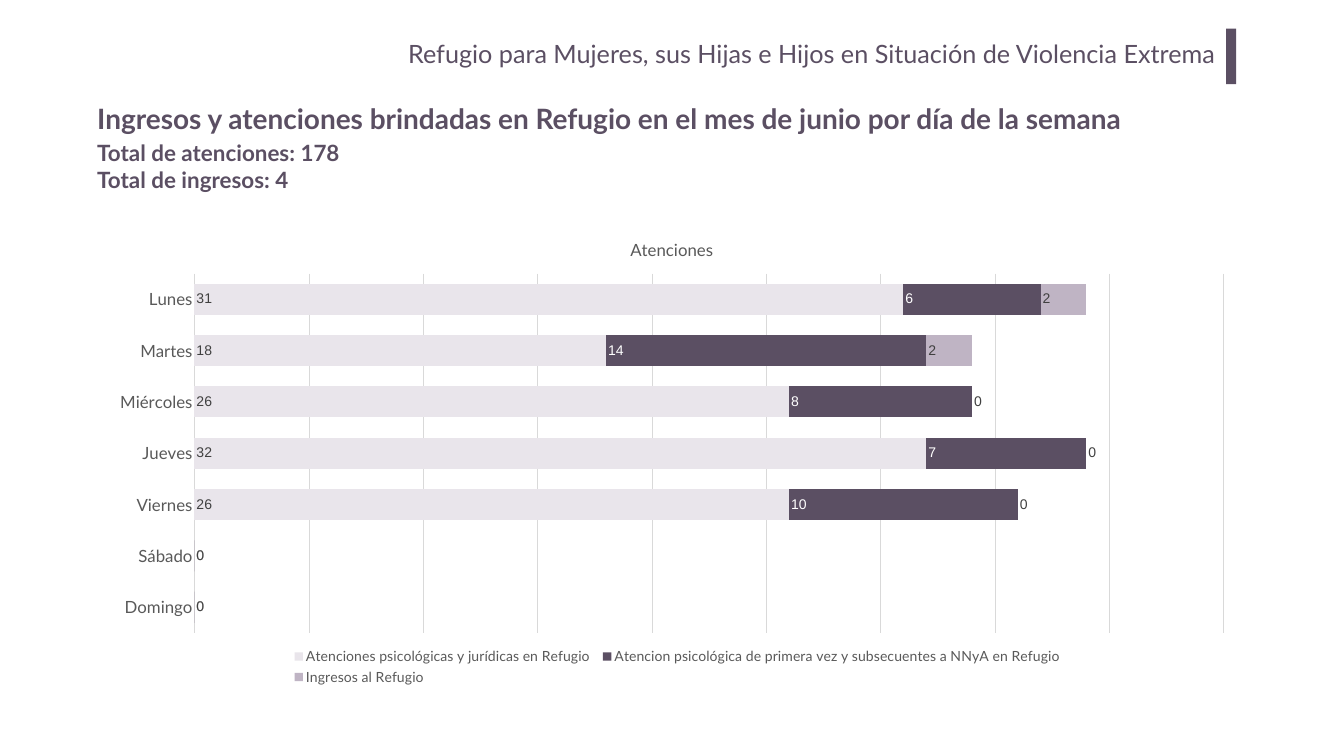
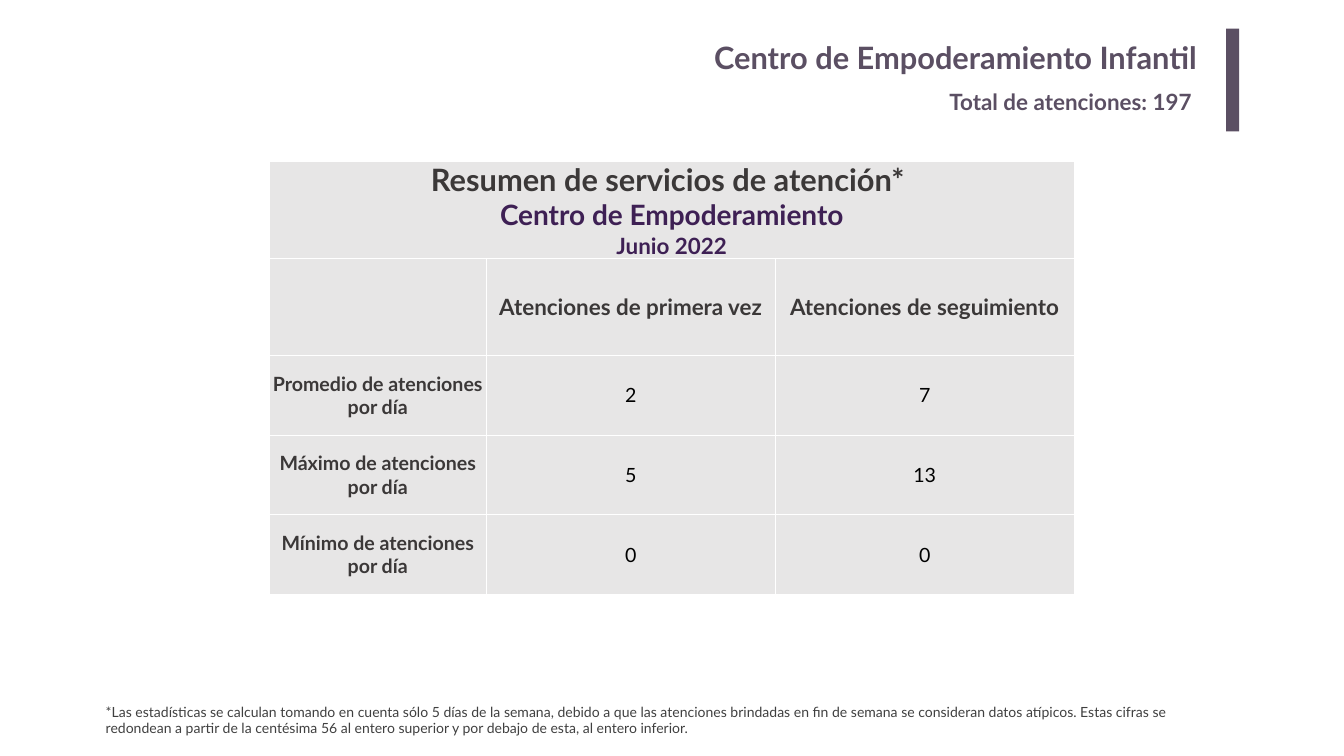
from dataclasses import dataclass

from lxml import etree
from pptx import Presentation
from pptx.chart.data import CategoryChartData
from pptx.dml.color import RGBColor
from pptx.enum import chart as ch, shapes, text
from pptx.oxml import ns
from pptx.util import Pt

HUES = {
    "plum": "5B4F63", "lilac": "BFB4C4", "mist": "E9E5EB", "violet": "3E2054",
    "dark": "3B3838", "ink": "404040", "gray": "595959", "rule": "D9D9D9",
    "cell": "E7E6E6", "white": "FFFFFF", "black": "000000",
}
FONT = "Lato"
AL = text.PP_ALIGN
MID = text.MSO_ANCHOR.MIDDLE
TOP = text.MSO_ANCHOR.TOP
GROW = text.MSO_AUTO_SIZE.SHAPE_TO_FIT_TEXT


@dataclass
class Box:
    x: float
    y: float
    w: float
    h: float

    def pts(self) -> tuple:
        return Pt(self.x), Pt(self.y), Pt(self.w), Pt(self.h)


@dataclass
class Line:
    words: str
    size: float = 32
    hue: str = "plum"
    bold: bool = True


@dataclass
class Bars:
    name: str
    vals: tuple
    hue: str
    label: str


def rgb(hue: str) -> RGBColor:
    return RGBColor.from_string(HUES[hue])


def style(font, size: float, hue: str, bold: bool = False, face: str = FONT) -> None:
    font.name, font.size, font.bold = face, Pt(size), bold
    font.color.rgb = rgb(hue)


def put(frame, *lines: Line, align=AL.LEFT, anchor=TOP, pad=(7.2, 3.6),
        fit=text.MSO_AUTO_SIZE.NONE, lead=None, before=None) -> None:
    """Fill a text frame, one paragraph per line."""
    frame.word_wrap, frame.auto_size, frame.vertical_anchor = True, fit, anchor
    frame.margin_left = frame.margin_right = Pt(pad[0])
    frame.margin_top = frame.margin_bottom = Pt(pad[1])
    for n, line in enumerate(lines):
        par = frame.add_paragraph() if n else frame.paragraphs[0]
        par.alignment = align
        if lead:
            par.line_spacing = lead
        if before is not None:
            par.space_before = Pt(before)
        run = par.add_run()
        run.text = line.words
        style(run.font, line.size, line.hue, line.bold)


def note(slide, box: Box, *lines: Line, **fmt) -> None:
    put(slide.shapes.add_textbox(*box.pts()).text_frame, *lines, **fmt)


def start(deck, title: Line, left: float, bar: Box):
    """Add a slide with its right-aligned title and side bar."""
    slide = deck.slides.add_slide(deck.slide_layouts[5])
    head = slide.shapes.title
    head.left, head.top, head.width, head.height = Box(left, 48.2, 1461.6, 73.4).pts()
    put(head.text_frame, title, align=AL.RIGHT, pad=(14.4, 7.2), before=0)
    mark = slide.shapes.add_shape(shapes.MSO_SHAPE.RECTANGLE, *bar.pts())
    mark.shadow.inherit = False
    mark.fill.solid()
    mark.fill.fore_color.rgb = rgb("plum")
    mark.line.fill.background()
    return slide


def place(chart, tag: str, spot: int, **dims: float) -> None:
    """Fix the layout of a chart part as fractions of the chart."""
    part = chart.element.xpath(f".//c:{tag}")[0]
    for old in part.findall(ns.qn("c:layout")):
        part.remove(old)
    outer = etree.Element(ns.qn("c:layout"))
    inner = etree.SubElement(outer, ns.qn("c:manualLayout"))
    vals = {"xMode": "edge", "yMode": "edge", **dims}
    if tag == "plotArea":
        vals = {"layoutTarget": "inner", **vals}
    for key, val in vals.items():
        etree.SubElement(inner, ns.qn(f"c:{key}")).set("val", str(val))
    part.insert(spot, outer)


def plot(slide, box: Box, title: str, days: list, sets: list) -> None:
    data = CategoryChartData()
    data.categories = days
    for item in sets:
        data.add_series(item.name, item.vals)
    chart = slide.shapes.add_chart(
        ch.XL_CHART_TYPE.BAR_STACKED, *box.pts(), data).chart
    style(chart.font, 10, "black", face="Arial")
    chart.has_title = True
    chart.chart_title.text_frame.text = title
    head = chart.chart_title.text_frame.paragraphs[0].runs[0]
    style(head.font, 24, "gray")

    axis = chart.category_axis
    axis.major_tick_mark = ch.XL_TICK_MARK.NONE
    style(axis.tick_labels.font, 24, "gray")
    axis.format.line.color.rgb = rgb("rule")
    axis.format.line.width = Pt(0.75)
    scale = chart.value_axis
    scale.minimum_scale, scale.maximum_scale, scale.major_unit = 0, 45, 5
    scale.has_major_gridlines = True
    grid = scale.major_gridlines.format.line
    grid.color.rgb, grid.width = rgb("rule"), Pt(0.75)
    scale.visible = False

    chart.has_legend = True
    chart.legend.position = ch.XL_LEGEND_POSITION.BOTTOM
    chart.legend.include_in_layout = False
    style(chart.legend.font, 20, "gray")
    place(chart, "plotArea", 0, x=0.085, y=0.11, w=0.895, h=0.77)
    place(chart, "legend", 1, x=0.165, y=0.905, w=0.68, h=0.095)

    bars = chart.plots[0]
    bars.gap_width, bars.overlap, bars.vary_by_categories = 65, 100, False
    for row, item in zip(bars.series, sets):
        row.format.fill.solid()
        row.format.fill.fore_color.rgb = rgb(item.hue)
        tags = row.data_labels
        tags.show_value = True
        tags.position = ch.XL_LABEL_POSITION.INSIDE_BASE
        style(tags.font, 20, item.label, face="Arial")


def edge(cell, hue: str, width: float) -> None:
    """Draw all four borders of a cell."""
    props = cell._tc.get_or_add_tcPr()
    for side in ("lnL", "lnR", "lnT", "lnB"):
        line = etree.SubElement(props, ns.qn(f"a:{side}"), w=str(Pt(width)))
        fill = etree.SubElement(line, ns.qn("a:solidFill"))
        etree.SubElement(fill, ns.qn("a:srgbClr"), val=HUES[hue])


def grid(slide, x: float, y: float, cols: list, rows: list, cells: list) -> None:
    """Add a table whose first row spans every column."""
    box = Box(x, y, sum(cols), sum(rows))
    table = slide.shapes.add_table(len(rows), len(cols), *box.pts()).table
    table.first_row = table.horz_banding = False
    for col, width in zip(table.columns, cols):
        col.width = Pt(width)
    for row, height in zip(table.rows, rows):
        row.height = Pt(height)
    for cell in table.iter_cells():
        edge(cell, "white", 1)
        cell.fill.solid()
        cell.fill.fore_color.rgb = rgb("cell")
    table.cell(0, 0).merge(table.cell(0, len(cols) - 1))
    for r, row in enumerate(cells):
        for c, lines in enumerate(row):
            if not lines:
                continue
            cell = table.cell(r, c)
            cell.vertical_anchor = MID
            cell.margin_left = cell.margin_right = 0
            cell.margin_top = cell.margin_bottom = 0
            fill_cell(cell, lines)


def fill_cell(cell, lines: list) -> None:
    for n, line in enumerate(lines):
        frame = cell.text_frame
        par = frame.add_paragraph() if n else frame.paragraphs[0]
        par.alignment = AL.CENTER
        run = par.add_run()
        run.text = line.words
        style(run.font, line.size, line.hue, line.bold)


def shelter(deck) -> None:
    slide = start(
        deck,
        Line("Refugio para Mujeres, sus Hijas e Hijos en Situación de Violencia Extrema",
             36, bold=False),
        288.7, Box(1751.8, 41, 14.4, 79.2))
    note(slide, Box(131.8, 119.5, 1573.2, 104.4),
         Line("Ingresos y atenciones brindadas en Refugio en el mes de junio "
              "por día de la semana ", 40),
         align=AL.JUSTIFY, anchor=MID, lead=0.9)
    note(slide, Box(131.8, 195.8, 406, 85), Line("Total de atenciones: 178"),
         Line("Total de ingresos: 4"), fit=GROW)
    days = ["Domingo", "Sábado", "Viernes", "Jueves", "Miércoles", "Martes", "Lunes"]
    plot(slide, Box(138.2, 317.5, 1643, 666.7), "Atenciones", days, [
        Bars("Atenciones psicológicas y jurídicas en Refugio",
             (0, 0, 26, 32, 26, 18, 31), "mist", "ink"),
        Bars("Atencion psicológica de primera vez y subsecuentes a NNyA en Refugio",
             (0, 0, 10, 7, 8, 14, 6), "plum", "white"),
        Bars("Ingresos al Refugio", (0, 0, 0, 0, 0, 2, 2), "lilac", "ink"),
    ])


def center(deck) -> None:
    slide = start(deck, Line("Centro de Empoderamiento Infantil", 44),
                  263.5, Box(1751.8, 41, 18.7, 146.9))
    note(slide, Box(1349.3, 121.7, 380.2, 46.1),
         Line("Total de atenciones: 197"), fit=GROW)
    heads = ("Atenciones de primera vez", "Atenciones de seguimiento")
    stats = {"Promedio": (2, 7), "Máximo": (5, 13), "Mínimo": (0, 0)}
    cells = [
        [[Line("Resumen de servicios de atención* ", 44, "dark"),
          Line("Centro de Empoderamiento", 40, "violet"),
          Line("Junio 2022", 32, "violet")]],
        [None] + [[Line(head, 32, "dark")] for head in heads],
    ]
    for name, vals in stats.items():
        cells.append([[Line(f"{name} de atenciones por día", 28, "dark")]]
                     + [[Line(str(val), 28, "black", False)] for val in vals])
    grid(slide, 385.2, 230.4, [308.9, 414, 426.2],
         [138.2] * 2 + [113.8] * 3, cells)
    note(slide, Box(144, 1000.8, 1607.8, 55.4),
         Line("*Las estadísticas se calculan tomando en cuenta sólo 5 días de la semana, "
              "debido a que las atenciones brindadas en fin de semana se consideran "
              "datos atípicos. Estas cifras se redondean a partir de la centésima 56 al "
              "entero superior y por debajo de esta, al entero inferior.",
              20, "ink", False), fit=GROW)


def main() -> None:
    deck = Presentation()
    deck.slide_width, deck.slide_height = Pt(1920.24), Pt(1080)
    shelter(deck)
    center(deck)
    deck.save("out.pptx")


if __name__ == "__main__":
    main()
